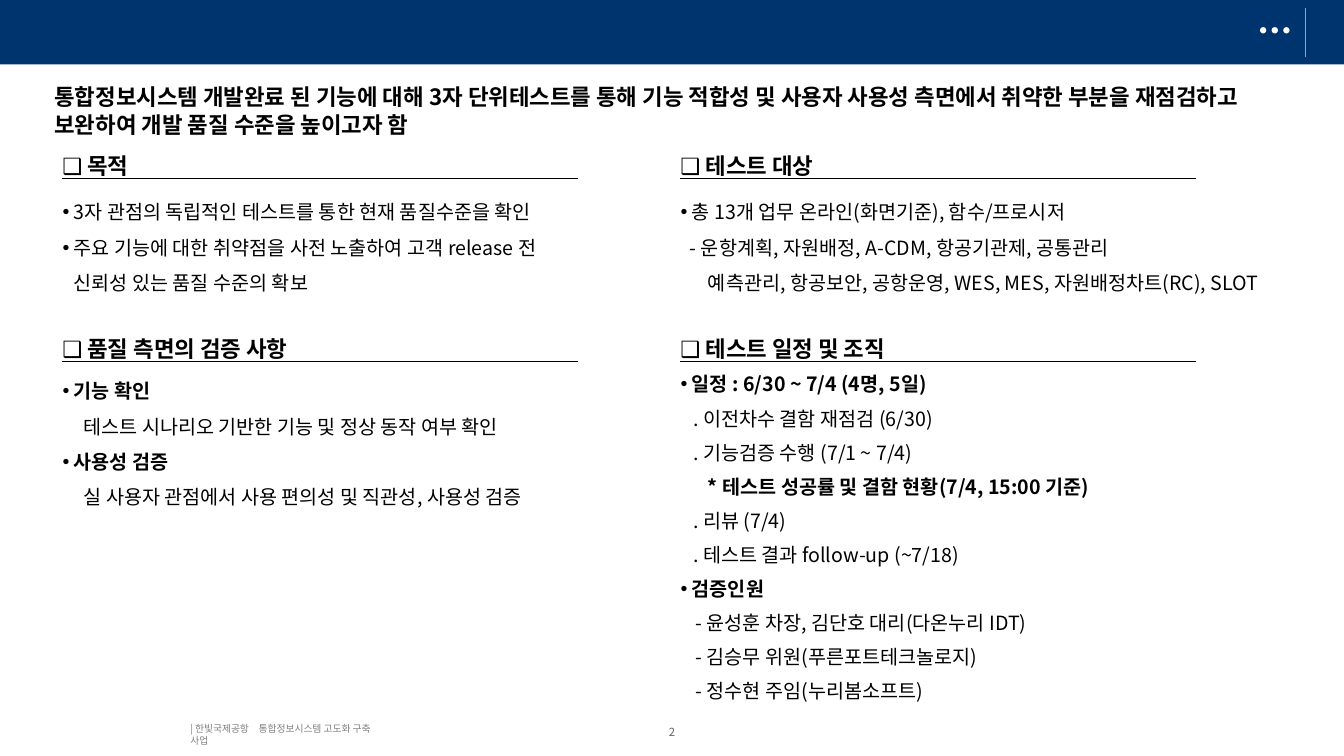
from lxml import etree
from pptx import Presentation
from pptx.dml.color import RGBColor
from pptx.enum import shapes, text
from pptx.oxml import ns
from pptx.util import Pt

FONT = "Noto Sans CJK KR"
NAVY = RGBColor(0x00, 0x34, 0x6E)
WHITE = RGBColor(0xFF, 0xFF, 0xFF)
BLACK = RGBColor(0x00, 0x00, 0x00)
RULE_GRAY = RGBColor(0x9A, 0xA3, 0xA8)
NUMBER_GRAY = RGBColor(0x5F, 0x5F, 0x5F)
FOOTER_GRAY = RGBColor(0x80, 0x80, 0x80)

HEADLINE = ("통합정보시스템 개발완료 된 기능에 대해 3자 단위테스트를 통해 기능 적합성 및 사용자 "
            "사용성 측면에서 취약한 부분을 재점검하고 보완하여 개발 품질 수준을 높이고자 함")
FOOTER = "| 한빛국제공항　통합정보시스템 고도화 구축 사업"
PAGE = "2"

BULLET = dict(margin=8, indent=-8, bullet=True)
TOPIC = dict(BULLET, bold=True)
DETAIL = dict(margin=15)
DASH = dict(margin=6.5)
CONTINUED = dict(indent=19.5)
STEP = dict(margin=9)
NOTE = dict(margin=19.5, bold=True)
PERSON = dict(margin=10.5)

SECTIONS = [
    dict(column=0, row=0, heading="❑ 목적", width=412.5, spacing=1.5, before=0, items=[
        ("3자 관점의 독립적인 테스트를 통한 현재 품질수준을 확인", BULLET),
        ("주요 기능에 대한 취약점을 사전 노출하여 고객 release 전\v신뢰성 있는 품질 수준의 확보", BULLET),
    ]),
    dict(column=0, row=1, heading="❑ 품질 측면의 검증 사항", width=391, spacing=1.5, before=0, items=[
        ("기능 확인", TOPIC),
        ("테스트 시나리오 기반한 기능 및 정상 동작 여부 확인", DETAIL),
        ("사용성 검증", TOPIC),
        ("실 사용자 관점에서 사용 편의성 및 직관성, 사용성 검증", DETAIL),
    ]),
    dict(column=1, row=0, heading="❑ 테스트 대상", width=432.5, spacing=1.5, before=0, items=[
        ("총 13개 업무 온라인(화면기준), 함수/프로시저", BULLET),
        ("- 운항계획, 자원배정, A-CDM, 항공기관제, 공통관리", DASH),
        ("예측관리, 항공보안, 공항운영, WES, MES, 자원배정차트(RC), SLOT", CONTINUED),
    ]),
    dict(column=1, row=1, heading="❑ 테스트 일정 및 조직", width=386, spacing=1.2, before=4.2, items=[
        ("일정 : 6/30 ~ 7/4 (4명, 5일)", TOPIC),
        (". 이전차수 결함 재점검 (6/30)", STEP),
        (". 기능검증 수행 (7/1 ~ 7/4)", STEP),
        ("* 테스트 성공률 및 결함 현황(7/4, 15:00 기준)", NOTE),
        (". 리뷰 (7/4)", STEP),
        (". 테스트 결과 follow-up (~7/18)", STEP),
        ("검증인원", TOPIC),
        ("- 윤성훈 차장, 김단호 대리(다온누리 IDT)", PERSON),
        ("- 김승무 위원(푸른포트테크놀로지)", PERSON),
        ("- 정수현 주임(누리봄소프트)", PERSON),
    ]),
]

COLUMN_LEFTS = (37.5, 479)
HEADING_TOPS = (105, 236)
LIST_TOPS = (131, 259)
RULE_TOPS = (127.5, 258)
LIST_HEIGHTS = (83.5, 256)
RULE_INSET, RULE_LENGTH = 6.8, 368.5


def place(part, left, top, width, height):
    part.left, part.top, part.width, part.height = map(Pt, (left, top, width, height))


def style(paragraph, size, color, bold=False):
    for run in paragraph.runs:
        run.font.name = FONT
        run.font.size = Pt(size)
        run.font.bold = bold
        run.font.color.rgb = color
        etree.SubElement(run._r.get_or_add_rPr(), ns.qn("a:ea")).set("typeface", FONT)


def prepare(frame, anchor=text.MSO_ANCHOR.TOP, inset=(7.2, 3.6)):
    frame.word_wrap = True
    frame.auto_size = text.MSO_AUTO_SIZE.NONE
    frame.vertical_anchor = anchor
    frame.margin_left = frame.margin_right = Pt(inset[0])
    frame.margin_top = frame.margin_bottom = Pt(inset[1])


def add_label(slide, words, box, size, color, bold=False, **frame_options):
    label = slide.shapes.add_textbox(*map(Pt, box))
    prepare(label.text_frame, **frame_options)
    label.text_frame.text = words
    paragraph = label.text_frame.paragraphs[0]
    style(paragraph, size, color, bold)
    return paragraph


def add_filled(slide, kind, box, color):
    filled = slide.shapes.add_shape(kind, *map(Pt, box))
    filled.shadow.inherit = False
    filled.fill.solid()
    filled.fill.fore_color.rgb = color
    filled.line.fill.background()


def add_rule(slide, start, end, color):
    rule = slide.shapes.add_connector(shapes.MSO_CONNECTOR.STRAIGHT, *map(Pt, start + end))
    rule.line.color.rgb = color
    rule.line.width = Pt(0.75)
    etree.SubElement(rule._element.spPr, ns.qn("a:effectLst"))


def indent_paragraph(paragraph, margin=0, indent=0, bullet=False):
    properties = paragraph._p.get_or_add_pPr()
    properties.set("marL", str(Pt(margin)))
    properties.set("indent", str(Pt(indent)))
    if bullet:
        etree.SubElement(properties, ns.qn("a:buChar")).set("char", "•")
    else:
        etree.SubElement(properties, ns.qn("a:buNone"))


def fill_list(frame, section):
    prepare(frame)
    for number, (words, look) in enumerate(section["items"]):
        paragraph = frame.add_paragraph() if number else frame.paragraphs[0]
        paragraph.text = words
        indent_paragraph(paragraph, look.get("margin", 0), look.get("indent", 0), look.get("bullet", False))
        paragraph.line_spacing = section["spacing"]
        paragraph.space_before = Pt(section["before"] if number else 0)
        style(paragraph, 14, BLACK, look.get("bold", False))


def main():
    deck = Presentation()
    deck.slide_width, deck.slide_height = Pt(960), Pt(540)
    slide = deck.slides.add_slide(deck.slide_layouts[4])
    headline, *lists = slide.placeholders

    add_filled(slide, shapes.MSO_SHAPE.RECTANGLE, (0, 0, 960, 46), NAVY)
    for dot in range(3):
        add_filled(slide, shapes.MSO_SHAPE.OVAL, (900 + 8.3 * dot, 19.4, 4.5, 4.5), WHITE)
    add_rule(slide, (932.5, 6), (932.5, 41), RULE_GRAY)

    place(headline, 31.7, 54.7, 903, 47.5)
    prepare(headline.text_frame)
    headline.text_frame.text = HEADLINE
    statement = headline.text_frame.paragraphs[0]
    statement.alignment = text.PP_ALIGN.LEFT
    statement.line_spacing = Pt(20)
    style(statement, 16, BLACK, True)

    for section, listing in zip(SECTIONS, lists):
        left, row = COLUMN_LEFTS[section["column"]], section["row"]
        add_label(slide, section["heading"], (left, HEADING_TOPS[row], 249, 26.5), 16, BLACK, True)
        rule_left, rule_top = left + RULE_INSET, RULE_TOPS[row]
        add_rule(slide, (rule_left, rule_top), (rule_left + RULE_LENGTH, rule_top), BLACK)
        place(listing, left, LIST_TOPS[row], section["width"], LIST_HEIGHTS[row])
        fill_list(listing.text_frame, section)

    middle = dict(anchor=text.MSO_ANCHOR.MIDDLE, inset=(0, 0))
    add_label(slide, FOOTER, (136, 515.5, 141, 18), 7, FOOTER_GRAY, **middle)
    page = add_label(slide, PAGE, (475, 518.4, 10, 9.4), 8, NUMBER_GRAY, **middle)
    page.alignment = text.PP_ALIGN.CENTER
    deck.save("out.pptx")


if __name__ == "__main__":
    main()
